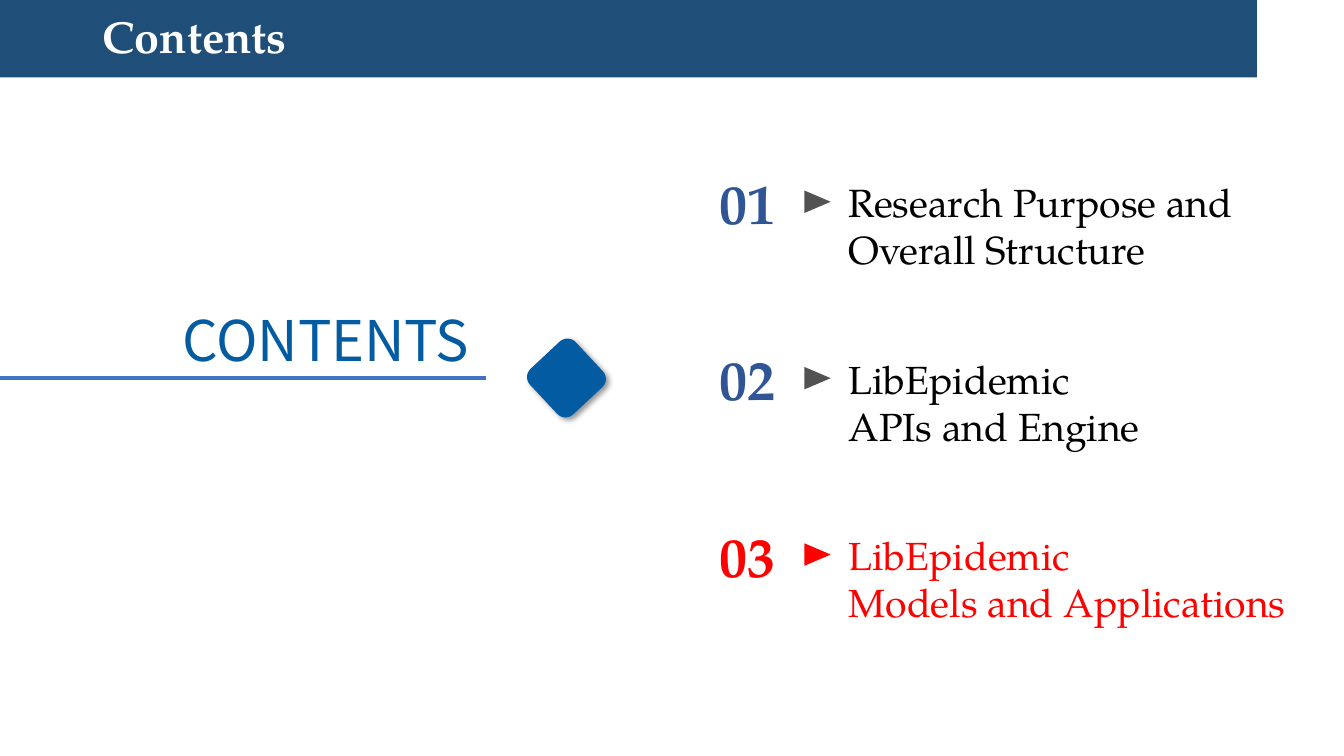
from dataclasses import dataclass

from lxml import etree
from pptx import Presentation
from pptx import util as u
from pptx.dml import color
from pptx.enum import shapes, text
from pptx.oxml import ns

Pt = u.Pt
Kind = shapes.MSO_SHAPE


@dataclass(frozen=True)
class Theme:
    serif: str = "TeX Gyre Pagella"
    sans: str = "Noto Sans CJK SC"
    bar: str = "1F4E79"
    white: str = "FFFFFF"
    rule: str = "4472C4"
    label: str = "035BA2"
    number: str = "2F5597"
    arrow: str = "525252"
    ink: str = "000000"
    active: str = "FF0000"
    head: int = 32
    large: int = 40
    body: int = 28


theme = Theme()


def rgb(tone):
    return color.RGBColor.from_string(tone)


def write(frame, lines, face, size, tone, bold=False, align=text.PP_ALIGN.LEFT):
    frame.word_wrap = True
    frame.text = "\n".join(lines)
    for para in frame.paragraphs:
        para.alignment = align
        font = para.font
        font.name, font.size, font.bold = face, Pt(size), bold
        font.color.rgb = rgb(tone)


def label(slide, box, lines, *style, **extra):
    frame = slide.shapes.add_textbox(*map(Pt, box)).text_frame
    write(frame, lines, *style, **extra)


def solid(slide, kind, box, tone, turn=0):
    shape = slide.shapes.add_shape(kind, *map(Pt, box))
    shape.shadow.inherit = False
    shape.fill.solid()
    shape.fill.fore_color.rgb = rgb(tone)
    shape.line.fill.background()
    shape.rotation = turn
    return shape


def shade(shape):
    effects = shape.element.spPr.find(ns.qn("a:effectLst"))
    shadow = etree.SubElement(
        effects, ns.qn("a:outerShdw"), blurRad=str(Pt(4)), dist=str(Pt(3)),
        dir=str(45 * 60000), algn="tl", rotWithShape="0")
    tone = etree.SubElement(shadow, ns.qn("a:srgbClr"), val=theme.ink)
    etree.SubElement(tone, ns.qn("a:alpha"), val="40000")


def header(slide, box, words):
    left, top, width, height = box
    bar = solid(slide, Kind.RECTANGLE, box, theme.bar)
    title = slide.shapes.title
    title.element.addprevious(bar.element)
    title.left, title.top = Pt(left + 66), Pt(top)
    title.width, title.height = Pt(828), Pt(height)
    frame = title.text_frame
    write(frame, [words], theme.serif, theme.head, theme.white, bold=True)
    frame.vertical_anchor = text.MSO_ANCHOR.MIDDLE
    frame.paragraphs[0].line_spacing = 0.9


def banner(slide, box, words):
    left, top, width, height = box
    base = top + height
    rule = slide.shapes.add_connector(
        shapes.MSO_CONNECTOR.STRAIGHT,
        Pt(left), Pt(base), Pt(left + width), Pt(base))
    rule.line.color.rgb = rgb(theme.rule)
    rule.line.width = Pt(3)
    etree.SubElement(rule.element.spPr, ns.qn("a:effectLst"))
    label(slide, (left + 123.1, top, 240, height), [words],
          theme.sans, theme.large, theme.label)
    side = 44.6
    gem = solid(slide, Kind.ROUNDED_RECTANGLE,
                (left + width + 35.3, base - side / 2, side, side),
                theme.label, turn=137)
    gem.adjustments[0] = 0.18
    shade(gem)


def entry(slide, box, number, lines, active):
    left, top, width, height = box
    tones = theme.number, theme.arrow, theme.ink
    if active:
        tones = (theme.active,) * 3
    label(slide, (left + 100.1, top + 7.2, width - 100.1, height - 7.2), lines,
          theme.serif, theme.body, tones[2])
    label(slide, (left, top, 70, 55.4), [f"{number:02}"],
          theme.serif, theme.large, tones[0], bold=True,
          align=text.PP_ALIGN.CENTER)
    solid(slide, Kind.ISOSCELES_TRIANGLE,
          (left + 77, top + 18, 16, 18.7), tones[1], turn=90)


def agenda(slide, box, items, current):
    left, top, width, height = box
    step = height / len(items)
    for row, lines in enumerate(items):
        entry(slide, (left, top + row * step, width, 82), row + 1, lines,
              row + 1 == current)


def main():
    deck = Presentation()
    deck.slide_width, deck.slide_height = Pt(960), Pt(540)
    slide = deck.slides.add_slide(deck.slide_layouts[5])
    header(slide, (0, 0, 897.8, 55.4), "Contents")
    banner(slide, (0, 214.6, 347, 55.4), "CONTENTS")
    agenda(slide, (499, 116.8, 449.3, 378), [
        ("Research Purpose and", "Overall Structure"),
        ("LibEpidemic", "APIs and Engine"),
        ("LibEpidemic", "Models and Applications"),
    ], current=3)
    deck.save("out.pptx")


if __name__ == "__main__":
    main()
